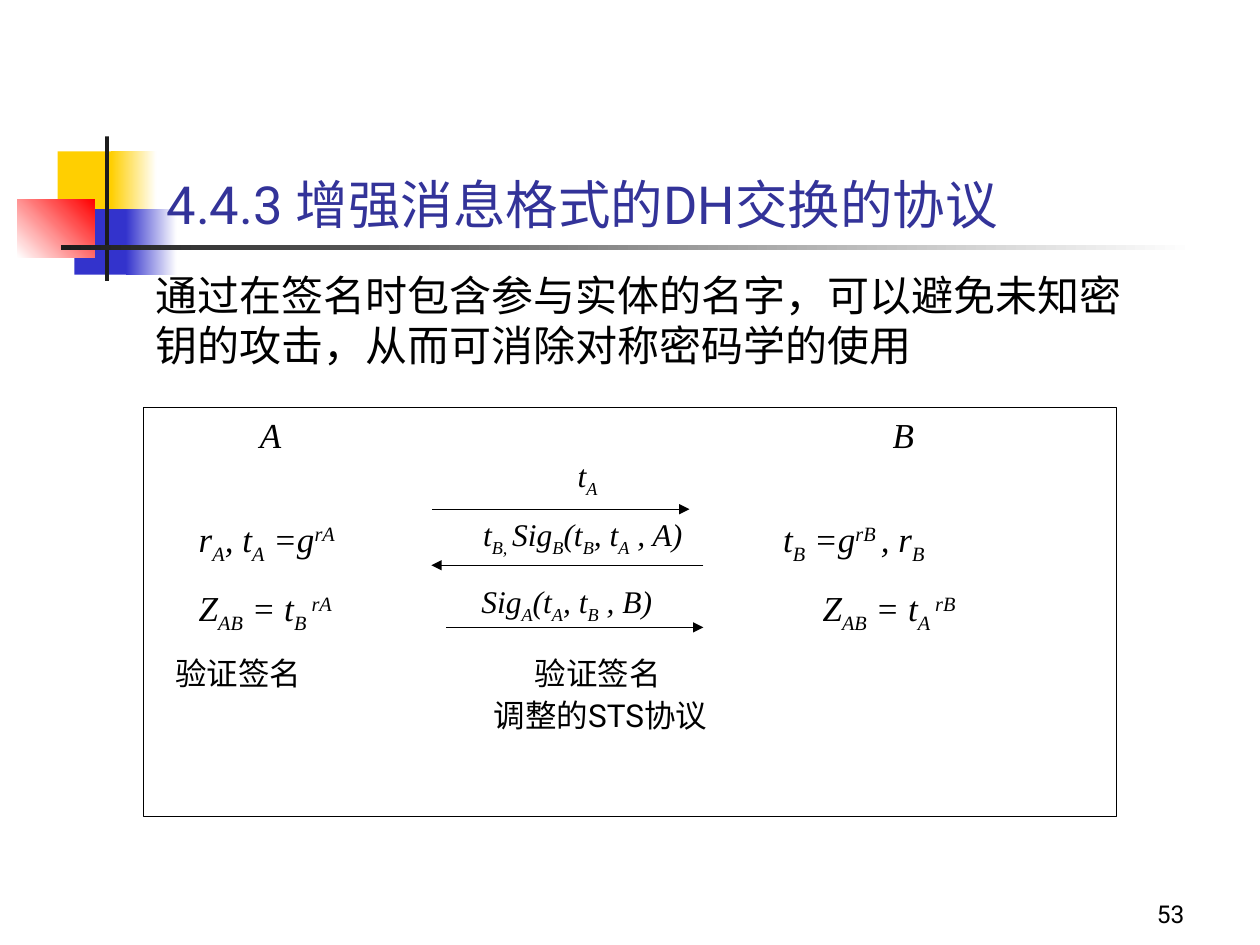
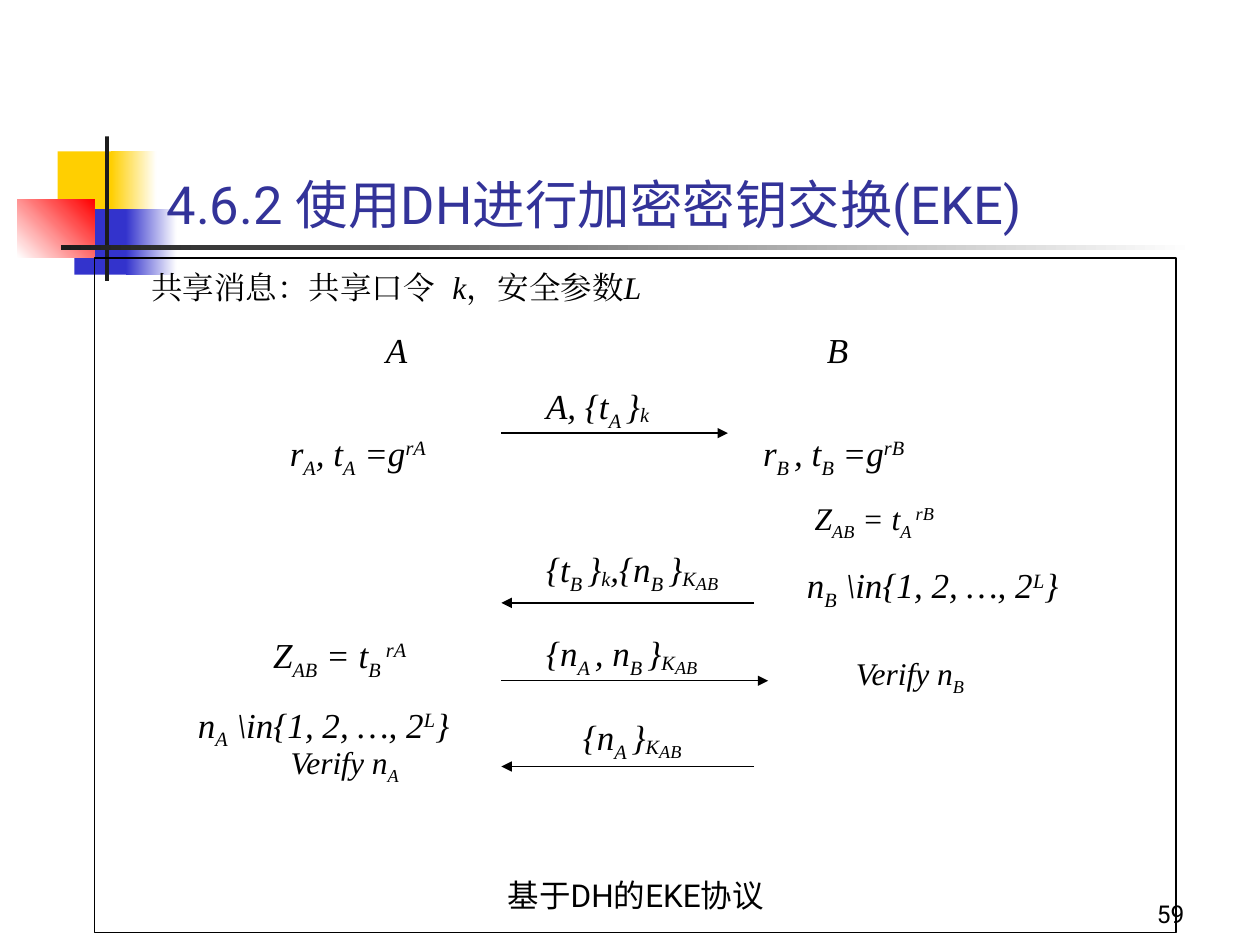
from collections import namedtuple

from lxml import etree
from pptx import Presentation
from pptx.dml.color import RGBColor
from pptx.enum.shapes import MSO_CONNECTOR, MSO_SHAPE
from pptx.enum.text import MSO_ANCHOR, MSO_AUTO_SIZE, PP_ALIGN
from pptx.oxml.ns import qn
from pptx.util import Pt

RECTANGLE = MSO_SHAPE.RECTANGLE
STRAIGHT = MSO_CONNECTOR.STRAIGHT
TOP, BOTTOM = MSO_ANCHOR.TOP, MSO_ANCHOR.BOTTOM
LEFT, RIGHT = PP_ALIGN.LEFT, PP_ALIGN.RIGHT

BLACK, WHITE, INK = "000000", "FFFFFF", "1C1C1C"
YELLOW, BLUE, RED, TITLE_BLUE = "FFCF01", "3333CC", "FF0000", "333399"

Box = namedtuple("Box", "left top width height")
Style = namedtuple("Style", "face size italic color")
Row = namedtuple("Row", "before tabs text style")

TITLE = Style("Roboto", 30, False, TITLE_BLUE)
BODY = Style("Roboto", 24, False, BLACK)
CAPTION = Style("Roboto", 18, False, BLACK)
NUMBER = Style("Roboto", 14, False, BLACK)
FORMULA = Style("Times New Roman", 20, True, BLACK)
SMALL_FORMULA = FORMULA._replace(size=18)
CHINESE = Style("Noto Sans CJK SC", 18, False, BLACK)

Mark = namedtuple("Mark", "baseline size italic")
MARKS = {
    "_": Mark(-25, None, None),
    "^": Mark(30, None, None),
    "%": Mark(-10, None, None),
    "#": Mark(-25, 18, None),
    "*": Mark(0, 18, None),
    "~": Mark(0, 18, False),
}

TITLE_BOX = Box(88, 72, 612, 66)
NUMBER_BOX = Box(534, 498, 150, 36)
ORNAMENT_BOX = Box(10, 77.5, 673, 83)


def color(hex_string):
    """Turn a hex string into a colour."""
    return RGBColor.from_string(hex_string)


def lengths(box):
    """Give the four lengths of a box in points."""
    return [Pt(value) for value in box]


def write_para(para, text, style, align=LEFT, before=0, tabs=()):
    """Fill a paragraph; pieces between bars may start with a mark."""
    para.alignment = align
    para.space_before = Pt(before)
    if tabs:
        stops = etree.SubElement(para._p.get_or_add_pPr(), qn("a:tabLst"))
        for position in tabs:
            etree.SubElement(stops, qn("a:tab"), pos=str(Pt(position)), algn="l")
    font = para.font
    font.size = Pt(style.size)
    font.italic = style.italic
    font.color.rgb = color(style.color)
    font.name = style.face
    etree.SubElement(font._element, qn("a:ea"), typeface=style.face)
    for piece in text.split("|"):
        mark = MARKS.get(piece[0])
        span = para.add_run()
        span.text = piece[1:] if mark else piece
        if not mark:
            continue
        if mark.baseline:
            span._r.get_or_add_rPr().set("baseline", str(mark.baseline * 1000))
        if mark.size:
            span.font.size = Pt(mark.size)
        if mark.italic is not None:
            span.font.italic = mark.italic


def add_text(page, box, text, style, align=LEFT, anchor=TOP):
    """Place a wrapping text box with one paragraph."""
    frame = page.shapes.add_textbox(*lengths(box)).text_frame
    frame.word_wrap = True
    frame.vertical_anchor = anchor
    write_para(frame.paragraphs[0], text, style, align)


def add_block(page, box, start, end=None, angle=0):
    """Place a borderless rectangle, plain or fading between two colours."""
    block = page.shapes.add_shape(RECTANGLE, *lengths(box))
    block.shadow.inherit = False
    block.line.fill.background()
    if end is None:
        block.fill.solid()
        block.fill.fore_color.rgb = color(start)
        return
    block.fill.gradient()
    block.fill.gradient_angle = angle
    for stop, shade in zip(block.fill.gradient_stops, (start, end)):
        stop.color.rgb = color(shade)


def add_ornament(page, box):
    """Draw the coloured squares and the two crossing bars."""
    blocks = [
        (23, 9, 35, 37, YELLOW),
        (53.5, 9, 26, 37, YELLOW, WHITE),
        (32.5, 42, 33, 37.5, BLUE),
        (62, 42, 29, 37.5, BLUE, WHITE),
        (0, 36.25, 44, 33.5, WHITE, RED, 45),
        (50, 0.5, 2.25, 82.5, INK),
        (25, 62.75, 648, 2.5, INK, WHITE),
    ]
    for left, top, width, height, *shades in blocks:
        part = Box(box.left + left, box.top + top, width, height)
        add_block(page, part, *shades)


def add_title(page, box, text):
    """Format the title placeholder and bring it in front."""
    title = page.shapes.title
    title.left, title.top, title.width, title.height = lengths(box)
    frame = title.text_frame
    frame.auto_size = MSO_AUTO_SIZE.NONE
    frame.vertical_anchor = BOTTOM
    write_para(frame.paragraphs[0], text, TITLE)
    page.shapes._spTree.append(title._element)


def add_arrow(page, box, start, end, height):
    """Draw a level arrow inside a box."""
    y = Pt(box.top + height)
    arrow = page.shapes.add_connector(
        STRAIGHT, Pt(box.left + start), y, Pt(box.left + end), y)
    arrow.line.color.rgb = color(BLACK)
    arrow.line.width = Pt(0.75)
    etree.SubElement(arrow.line._get_or_add_ln(), qn("a:tailEnd"), type="triangle")
    etree.SubElement(arrow._element.spPr, qn("a:effectLst"))


def add_protocol(page, box, rows, arrows, labels):
    """Draw a framed protocol: rows of formulas, arrows and labels."""
    panel = page.shapes.add_shape(RECTANGLE, *lengths(box))
    panel.shadow.inherit = False
    panel.fill.background()
    panel.line.color.rgb = color(BLACK)
    panel.line.width = Pt(0.75)
    frame = panel.text_frame
    frame.word_wrap = True
    frame.vertical_anchor = TOP
    for index, row in enumerate(rows):
        para = frame.add_paragraph() if index else frame.paragraphs[0]
        write_para(para, row.text, row.style, before=row.before, tabs=row.tabs)
    for arrow in arrows:
        add_arrow(page, box, *arrow)
    for left, top, text, style in labels:
        add_text(page, Box(box.left + left, box.top + top, 200, 32), text, style)


def start_page(deck, title, number):
    """Add a page with ornament, title and page number."""
    page = deck.slides.add_slide(deck.slide_layouts[5])
    add_ornament(page, ORNAMENT_BOX)
    add_text(page, NUMBER_BOX, number, NUMBER, RIGHT, BOTTOM)
    add_title(page, TITLE_BOX, title)
    return page


def add_enhanced_exchange(deck):
    """Build the page on the adapted STS protocol."""
    page = start_page(deck, "4.4.3 增强消息格式的DH交换的协议", "53")
    rows = [
        Row(0, (59.5, 421), "\tA\tB", FORMULA),
        Row(35, (24.5, 358.5), "\tr|_A|, t|_A| =g|^rA|\tt|_B| =g|^rB |, r|_B", FORMULA),
        Row(12.5, (24.5, 381),
            "\tZ|_AB| = t|_B |^rA|\tZ|_AB| = t|_A |^rB", FORMULA),
        Row(11.25, (11, 216.5), "\t验证签名\t验证签名", CHINESE),
    ]
    arrows = [(165, 312, 58), (320, 164.5, 90), (173, 320, 125.5)]
    labels = [
        (241, 24, "t|_A", SMALL_FORMULA),
        (187, 58, "t|_B, |Sig|_B|(t|_B|, t|_A| , A)", SMALL_FORMULA),
        (186, 96, "Sig|_A|(t|_A|, t|_B| , B)", SMALL_FORMULA),
        (193, 161, "调整的STS协议", CAPTION),
    ]
    add_protocol(page, Box(82, 233, 556, 233.5), rows, arrows, labels)
    add_text(page, Box(82, 150.5, 567, 65),
             "通过在签名时包含参与实体的名字，可以避免未知密钥的攻击，从而可消除对称密码学的使用",
             BODY)


def add_encrypted_exchange(deck):
    """Build the page on the EKE protocol."""
    page = start_page(deck, "4.6.2 使用DH进行加密密钥交换(EKE)", "59")
    rows = [
        Row(0, (25.5, 197.5), "\t|~共享消息：共享口令|\t|*k|~，安全参数|*L", FORMULA),
        Row(12.5, (159.5, 411.5), "\tA\tB", FORMULA),
        Row(35, (104.5, 375),
            "\tr|_A|, t|_A| =g|^rA|\tr|_B |, t|_B| =g|^rB", FORMULA),
        Row(11.25, (404.5,), "\tZ|_AB| = t|_A |^rB", SMALL_FORMULA),
        Row(12.5, (400,), "\tn|_B| \\in{1, 2, …, 2|^L|}", FORMULA),
        Row(12.5, (95,), "\tZ|_AB| = t|_B |^rA", FORMULA),
        Row(12.5, (52,), "\tn|_A| \\in{1, 2, …, 2|^L|}", FORMULA),
    ]
    arrows = [(232.5, 362, 100), (377, 232.5, 197),
              (232.5, 385, 241.5), (377, 232.5, 290.5)]
    labels = [
        (251, 68.5, "A, {t|_A |}|%k", FORMULA),
        (251, 162, "{t|_B |}|%k|,{n|_B |}|%K|#AB", FORMULA),
        (251, 210, "{n|_A |, n|_B |}|%K|#AB", FORMULA),
        (272, 258, "{n|_A |}|%K|#AB", FORMULA),
        (428, 222.5, "Verify n|_B", SMALL_FORMULA),
        (105, 273.5, "Verify n|_A", SMALL_FORMULA),
        (229, 349.5, "基于DH的EKE协议", CAPTION),
    ]
    add_protocol(page, Box(54, 147.5, 618, 385.5), rows, arrows, labels)


def main():
    """Build and save the deck."""
    deck = Presentation()
    deck.slide_width, deck.slide_height = Pt(720), Pt(540)
    add_enhanced_exchange(deck)
    add_encrypted_exchange(deck)
    deck.save("out.pptx")


if __name__ == "__main__":
    main()
